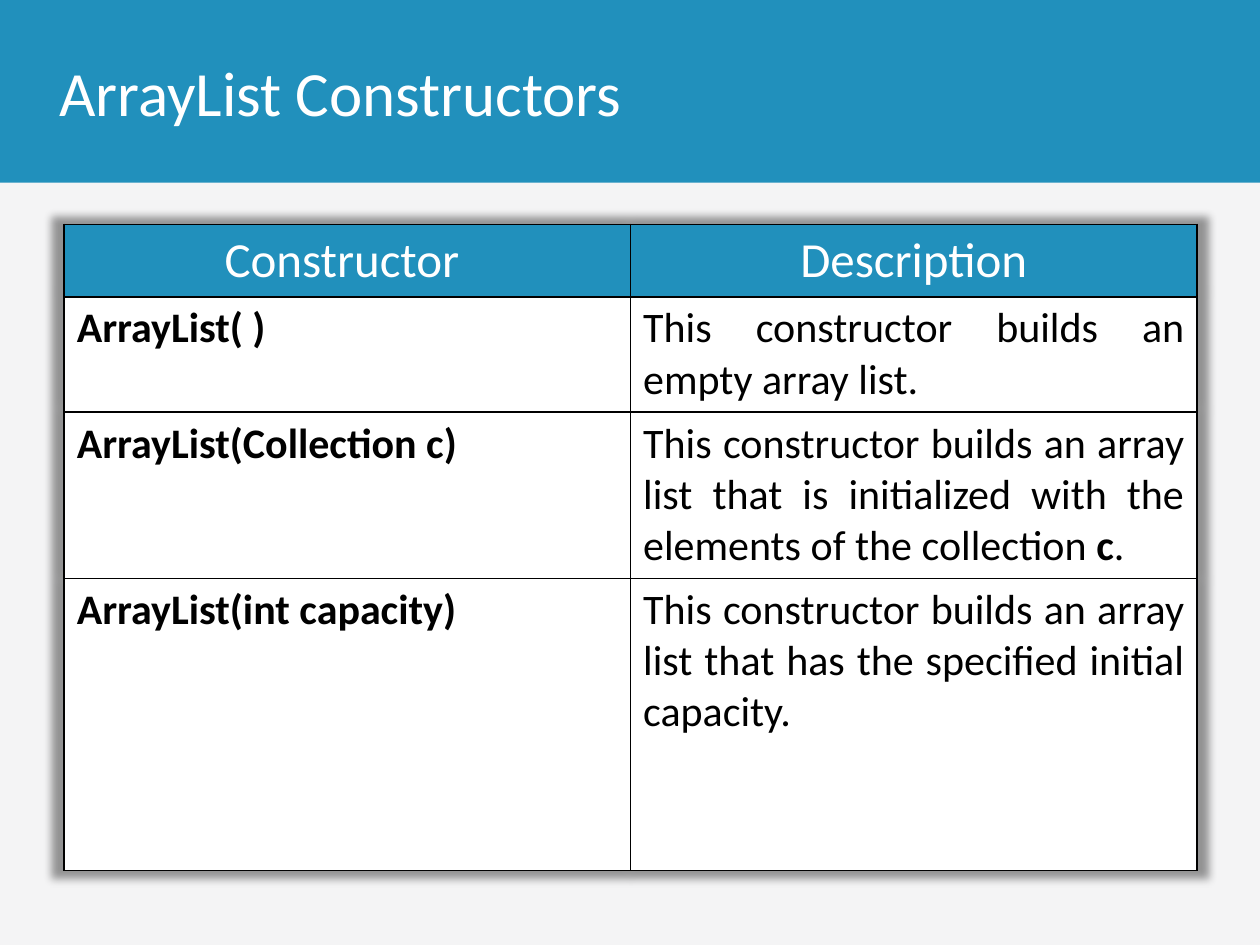
import pptx
import pptx.dml.color
import pptx.enum.shapes
import pptx.enum.text
import pptx.oxml
import pptx.oxml.ns
import pptx.util

Inches = pptx.util.Inches
Pt = pptx.util.Pt
RGBColor = pptx.dml.color.RGBColor
ALIGN = pptx.enum.text.PP_ALIGN

BLUE = RGBColor(0x21, 0x90, 0xBC)
PALE = RGBColor(0xF4, 0xF4, 0xF5)
WHITE = RGBColor(0xFF, 0xFF, 0xFF)
BLACK = RGBColor(0x00, 0x00, 0x00)
FONT = "Calibri"

TITLE = "ArrayList Constructors"
HEADINGS = ["Constructor ", "Description"]
# Each constructor with its description as (text, bold) runs.
CONSTRUCTORS = [
    ("ArrayList( )",
     [("This constructor builds an empty array list.", False)]),
    ("ArrayList(Collection c)",
     [("This constructor builds an array list that is initialized with the "
       "elements of the collection ", False), ("c", True), (".", False)]),
    ("ArrayList(int capacity)",
     [("This constructor builds an array list that has the specified initial "
       "capacity. ", False)]),
]
BANNER_HEIGHT = 1.45
ROW_HEIGHTS = [0.5, 0.85, 1.22, 2.32]
TABLE_LEFT, TABLE_TOP, TABLE_WIDTH = 0.51, 1.78, 8.99

NS = pptx.oxml.ns.nsdecls("a")
SHADOW = (f'<a:effectLst {NS}><a:outerShdw blurRad="63500" sx="102000" sy="102000" '
          'algn="ctr" rotWithShape="0"><a:srgbClr val="000000"><a:alpha val="40000"/>'
          '</a:srgbClr></a:outerShdw></a:effectLst>')


def add_runs(paragraph, runs, size, color):
    for text, bold in runs:
        run = paragraph.add_run()
        run.text = text
        run.font.name = FONT
        run.font.size = Pt(size)
        run.font.bold = bold
        run.font.color.rgb = color


def add_borders(cell):
    properties = cell._tc.get_or_add_tcPr()
    for position, side in enumerate(("lnL", "lnR", "lnT", "lnB")):
        properties.insert(position, pptx.oxml.parse_xml(
            f'<a:{side} {NS} w="{Pt(1)}"><a:solidFill><a:srgbClr val="{BLACK}"/>'
            f'</a:solidFill></a:{side}>'))


def fill_cell(cell, runs, size, color, fill, align):
    cell.fill.solid()
    cell.fill.fore_color.rgb = fill
    add_borders(cell)
    paragraph = cell.text_frame.paragraphs[0]
    paragraph.alignment = align
    add_runs(paragraph, runs, size, color)


def add_banner(slide, width):
    banner = slide.shapes.add_shape(pptx.enum.shapes.MSO_SHAPE.RECTANGLE,
                                    0, 0, width, Inches(BANNER_HEIGHT))
    banner.shadow.inherit = False
    banner.fill.solid()
    banner.fill.fore_color.rgb = BLUE
    banner.line.fill.background()


def add_title(slide):
    frame = slide.shapes.add_textbox(Inches(0.37), 0, Inches(8.62),
                                     Inches(BANNER_HEIGHT)).text_frame
    frame.word_wrap = True
    frame.vertical_anchor = pptx.enum.text.MSO_ANCHOR.MIDDLE
    add_runs(frame.paragraphs[0], [(TITLE, False)], 36, WHITE)


def add_constructor_table(slide):
    table = slide.shapes.add_table(
        len(ROW_HEIGHTS), len(HEADINGS), Inches(TABLE_LEFT), Inches(TABLE_TOP),
        Inches(TABLE_WIDTH), Inches(sum(ROW_HEIGHTS))).table
    table.horz_banding = False
    table._tbl.tblPr.insert(0, pptx.oxml.parse_xml(SHADOW))
    for row, height in zip(table.rows, ROW_HEIGHTS):
        row.height = Inches(height)
    for column, heading in enumerate(HEADINGS):
        fill_cell(table.cell(0, column), [(heading, False)], 28, WHITE, BLUE, ALIGN.CENTER)
    for row, (signature, description) in enumerate(CONSTRUCTORS, start=1):
        for column, runs in enumerate(([(signature, True)], description)):
            fill_cell(table.cell(row, column), runs, 24, BLACK, WHITE, ALIGN.JUSTIFY)


def main():
    deck = pptx.Presentation()
    deck.slide_width, deck.slide_height = Inches(10), Inches(7.5)
    slide = deck.slides.add_slide(deck.slide_layouts[6])
    slide.background.fill.solid()
    slide.background.fill.fore_color.rgb = PALE
    add_banner(slide, deck.slide_width)
    add_constructor_table(slide)
    add_title(slide)
    deck.save("out.pptx")


if __name__ == "__main__":
    main()
